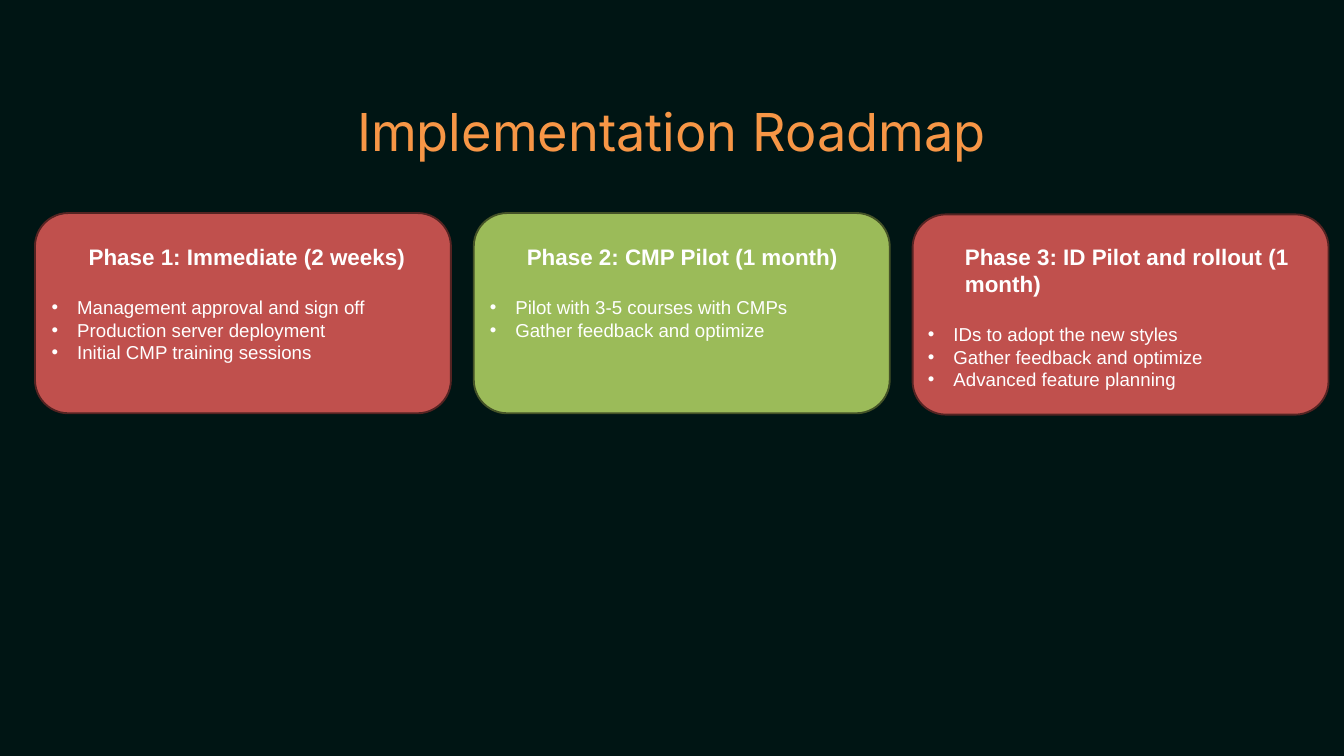
from pptx import Presentation
from pptx.dml.color import RGBColor
from pptx.enum.shapes import MSO_SHAPE as Shape
from pptx.enum.text import MSO_ANCHOR as Anchor, MSO_AUTO_SIZE as AutoSize, PP_ALIGN as Align
from pptx.oxml.ns import qn
from pptx.util import Inches, Pt
from lxml import etree


def rgb(value):
    return RGBColor.from_string(value)


class RoadmapSlide:
    """Holds the deck's style and the slide being built."""

    BACKGROUND, TITLE, TEXT = "001514", "F79646", "FFFFFF"
    RED, GREEN = ("C0504D", "542322"), ("9BBB59", "445227")
    TITLE_FONT, BODY_FONT = "Inter", "Arial"

    def __init__(self, prs):
        self.s = prs.slides.add_slide(prs.slide_layouts[5])
        fill = self.s.background.fill
        fill.solid()
        fill.fore_color.rgb = rgb(self.BACKGROUND)

    def font(self, p, name, size, color, bold=False):
        p.font.name, p.font.size, p.font.bold = name, Pt(size), bold
        p.font.color.rgb = rgb(color)

    def title(self, text, left, top, width, height):
        sp = self.s.shapes.title
        sp.left, sp.top = Inches(left), Inches(top)
        sp.width, sp.height = Inches(width), Inches(height)
        tf = sp.text_frame
        tf.margin_left = tf.margin_right = tf.margin_top = tf.margin_bottom = 0
        tf.vertical_anchor = Anchor.TOP
        tf.auto_size = AutoSize.SHAPE_TO_FIT_TEXT
        tf.text = text
        p = tf.paragraphs[0]
        p.alignment, p.line_spacing, p.space_before = Align.CENTER, 0.8, Pt(0)
        self.font(p, self.TITLE_FONT, 56, self.TITLE)

    def card(self, colors, left, top, width, height):
        fill, line = colors
        sp = self.s.shapes.add_shape(Shape.FLOWCHART_ALTERNATE_PROCESS, Inches(left),
                                     Inches(top), Inches(width), Inches(height))
        sp.shadow.inherit = False
        sp.fill.solid()
        sp.fill.fore_color.rgb = rgb(fill)
        sp.line.color.rgb = rgb(line)
        sp.line.width = Pt(2)

    def phase_text(self, heading, items, left, top, width, height):
        box = self.s.shapes.add_textbox(Inches(left), Inches(top), Inches(width), Inches(height))
        tf = box.text_frame
        tf.word_wrap = True
        tf.auto_size = AutoSize.SHAPE_TO_FIT_TEXT
        p = tf.paragraphs[0]
        p.text = heading
        p.space_after = Pt(28)
        self.indent(p, 0.55)
        self.font(p, self.BODY_FONT, 24, self.TEXT, bold=True)
        for item in items:
            p = tf.add_paragraph()
            p.text = item
            self.font(p, self.BODY_FONT, 20, self.TEXT)
            self.bullet(p)

    def indent(self, p, margin, first=0):
        pPr = p._p.get_or_add_pPr()
        pPr.set("marL", str(Inches(margin)))
        pPr.set("indent", str(Inches(first)))
        return pPr

    def bullet(self, p):
        pPr = self.indent(p, 0.38, -0.38)
        # Bullet elements come before the default run properties
        color = etree.Element(qn("a:buClr"))
        etree.SubElement(color, qn("a:srgbClr"), val=self.TEXT)
        face = etree.Element(qn("a:buFont"), typeface=self.BODY_FONT)
        mark = etree.Element(qn("a:buChar"), char="•")
        for element in (color, face, mark):
            pPr.find(qn("a:defRPr")).addprevious(element)


def main():
    prs = Presentation()
    prs.slide_width, prs.slide_height = Inches(20), Inches(11.25)
    slide = RoadmapSlide(prs)
    slide.title("Implementation Roadmap", 1.12, 1.66, 17.75, 0.75)

    # Phases: heading, card colours, card top, text height, items
    phases = [
        ("Phase 1: Immediate (2 weeks)", slide.RED, 3.17, 1.92,
         ["Management approval and sign off", "Production server deployment",
          "Initial CMP training sessions"]),
        ("Phase 2: CMP Pilot (1 month)", slide.GREEN, 3.17, 1.58,
         ["Pilot with 3-5 courses with CMPs", "Gather feedback and optimize"]),
        ("Phase 3: ID Pilot and rollout (1 month)", slide.RED, 3.19, 2.32,
         ["IDs to adopt the new styles", "Gather feedback and optimize",
          "Advanced feature planning"]),
    ]
    for i, (heading, colors, top, text_height, items) in enumerate(phases):
        slide.card(colors, 0.52 + 6.53 * i, top, 6.19, 2.98)
        slide.phase_text(heading, items, 0.67 + 6.52 * i, 3.57, 5.62, text_height)

    prs.save("out.pptx")


if __name__ == "__main__":
    main()
